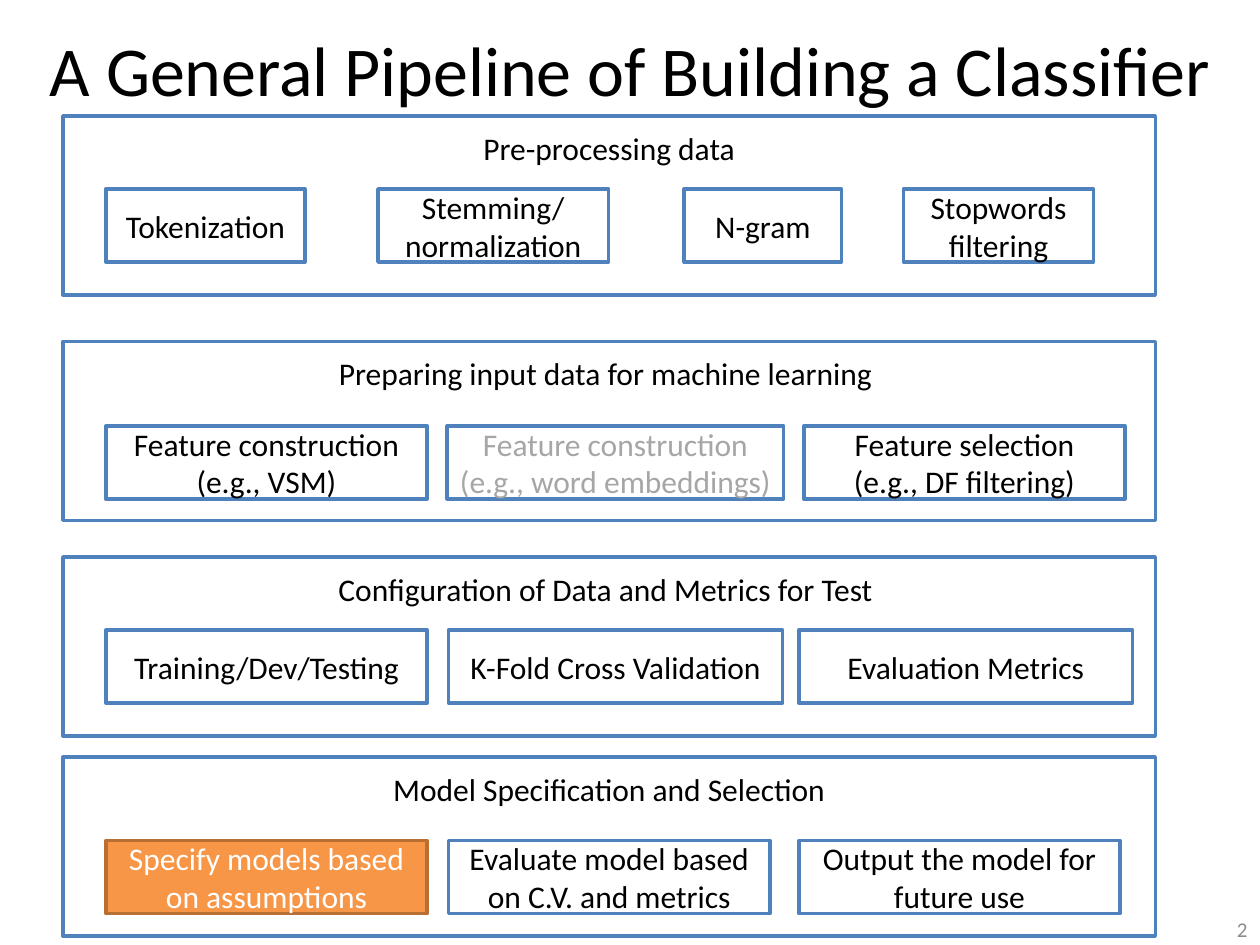
from dataclasses import dataclass

from pptx import Presentation
from pptx.dml.color import RGBColor
from pptx.enum.shapes import MSO_SHAPE
from pptx.enum.text import MSO_ANCHOR as Anchor, PP_ALIGN as Align
from pptx.util import Inches, Pt


@dataclass(frozen=True)
class Theme:
    font: str = "Calibri"
    title_size: int = 40
    body_size: int = 18
    number_size: int = 12
    line_width: int = 2
    white: str = "FFFFFF"
    black: str = "000000"
    blue: str = "4F81BD"
    orange: str = "F79646"
    brown: str = "B76F34"
    muted: str = "A6A6A6"
    number: str = "8C8C8C"


theme = Theme()


def write_text(shape, text, size, color, align=Align.CENTER, anchor=Anchor.MIDDLE):
    frame = shape.text_frame
    frame.text = text
    frame_format = {
        "word_wrap": True,
        "vertical_anchor": anchor,
        "margin_top": Inches(0.1 if anchor == Anchor.TOP else 0.05),
    }
    for name, value in frame_format.items():
        setattr(frame, name, value)
    font_format = {"name": theme.font, "size": Pt(size)}
    for paragraph in frame.paragraphs:
        paragraph.alignment = align
        for run in paragraph.runs:
            for name, value in font_format.items():
                setattr(run.font, name, value)
            run.font.color.rgb = RGBColor.from_string(color)


def add_box(box, text, style, anchor=Anchor.MIDDLE):
    fill, line, color = style
    shape = slide.shapes.add_shape(MSO_SHAPE.RECTANGLE, *map(Inches, box))
    shape.shadow.inherit = False
    shape.fill.solid()
    shape.fill.fore_color.rgb = RGBColor.from_string(fill)
    shape.line.color.rgb = RGBColor.from_string(line)
    shape.line.width = Pt(theme.line_width)
    write_text(shape, text, theme.body_size, color, anchor=anchor)


plain = (theme.white, theme.blue, theme.black)
faded = (theme.white, theme.blue, theme.muted)
current = (theme.orange, theme.brown, theme.white)

panel_left, panel_width, panel_height = 0.5, 8.67, 1.42
step_height = 0.58

stages = [
    ("Pre-processing data", 0.92, 1.5, [
        (0.84, 1.58, "Tokenization", plain),
        (3, 1.83, "Stemming/\nnormalization", plain),
        (5.43, 1.25, "N-gram", plain),
        (7.17, 1.51, "Stopwords filtering", plain),
    ]),
    ("Preparing input data for machine learning ", 2.71, 3.38, [
        (0.84, 2.55, "Feature construction (e.g., VSM)", plain),
        (3.55, 2.67, "Feature construction (e.g., word embeddings)", faded),
        (6.38, 2.55, "Feature selection\n(e.g., DF filtering)", plain),
    ]),
    ("Configuration of Data and Metrics for Test ", 4.42, 5, [
        (0.84, 2.55, "Training/Dev/Testing", plain),
        (3.56, 2.65, "K-Fold Cross Validation", plain),
        (6.34, 2.65, "Evaluation Metrics", plain),
    ]),
    ("Model Specification and Selection", 6.01, 6.67, [
        (0.84, 2.55, "Specify models based on assumptions", current),
        (3.56, 2.55, "Evaluate model based on C.V. and metrics", plain),
        (6.34, 2.55, "Output the model for future use", plain),
    ]),
]

presentation = Presentation()
presentation.slide_width = Inches(10)
presentation.slide_height = Inches(7.5)
slide = presentation.slides.add_slide(presentation.slide_layouts[6])

title = slide.shapes.add_textbox(Inches(0), Inches(0), Inches(10), Inches(1.08))
write_text(title, "A General Pipeline of Building a Classifier", theme.title_size, theme.black)

page_number = slide.shapes.add_textbox(Inches(7.67), Inches(7.25), Inches(2.33), Inches(0.25))
write_text(page_number, "2", theme.number_size, theme.number, Align.RIGHT)

for heading, panel_top, step_top, steps in stages:
    add_box((panel_left, panel_top, panel_width, panel_height), heading, plain, Anchor.TOP)
    for left, width, label, style in steps:
        add_box((left, step_top, width, step_height), label, style)

presentation.save("out.pptx")
